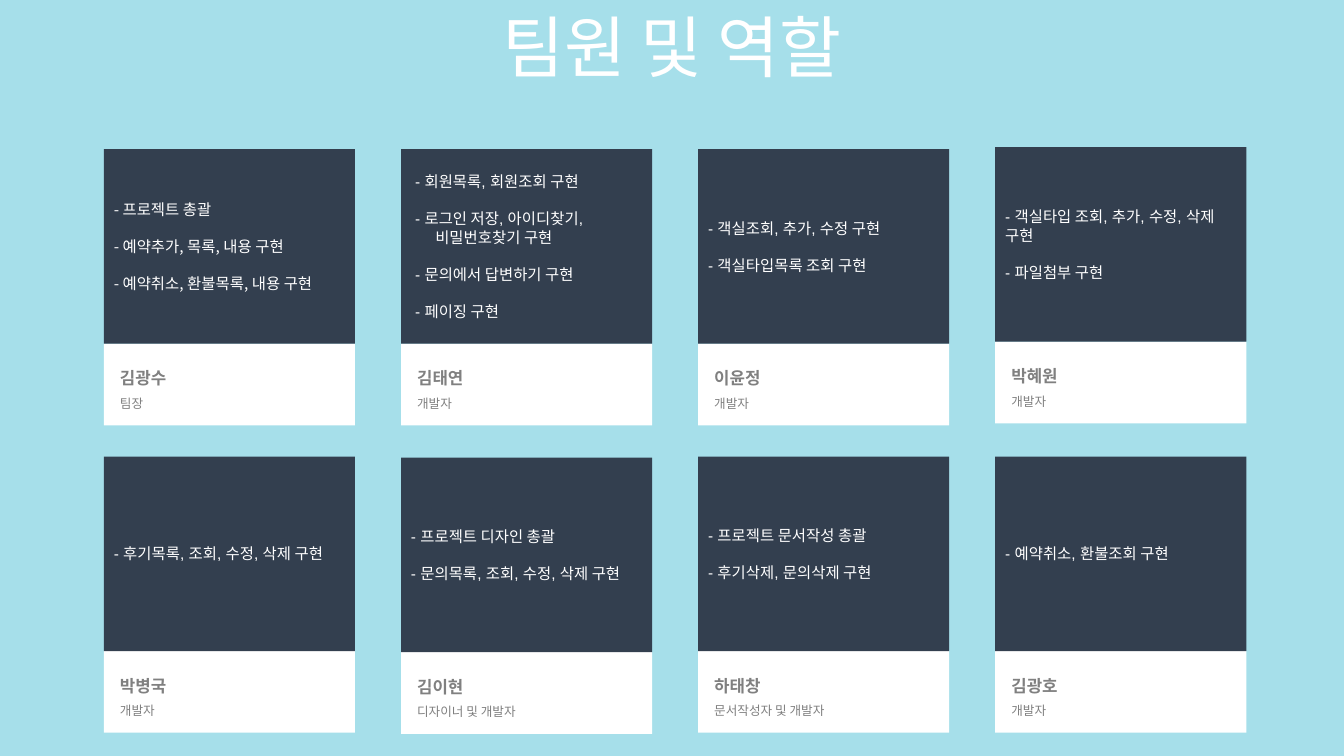
import pptx
import pptx.dml.color
import pptx.enum.shapes
import pptx.enum.text
import pptx.oxml
import pptx.oxml.ns
import pptx.util

Inches = pptx.util.Inches
Pt = pptx.util.Pt
RGBColor = pptx.dml.color.RGBColor
ANCHOR = pptx.enum.text.MSO_ANCHOR
ALIGN = pptx.enum.text.PP_ALIGN

SKY = RGBColor(0xA6, 0xDF, 0xEA)
NAVY = RGBColor(0x33, 0x3F, 0x4F)
GRAY = RGBColor(0x80, 0x80, 0x80)
WHITE = RGBColor(0xFF, 0xFF, 0xFF)
SANS = "Noto Sans CJK KR"

CARD_LEFT, COLUMN_STEP, CARD_WIDTH = 1.03, 2.947, 2.49
TASKS_HEIGHT, NAME_HEIGHT = 1.93, 0.81
HANGING, TAB_STOP = 0.2, 0.49

# Each member: top of the card, name, role, task font, left inset, tasks
ROWS = [
    [
        (1.48, "김광수", "팀장", SANS, 0.1,
         ["프로젝트 총괄", "예약추가, 목록, 내용 구현", "예약취소, 환불목록, 내용 구현"]),
        (1.48, "김태연", "개발자", "Arial", 0.14,
         ["회원목록, 회원조회 구현", "로그인 저장, 아이디찾기,\v비밀번호찾기 구현",
          "문의에서 답변하기 구현", "페이징 구현"]),
        (1.48, "이윤정", "개발자", "Arial", 0.1,
         ["객실조회, 추가, 수정 구현", "객실타입목록 조회 구현"]),
        (1.46, "박혜원", "개발자", "Arial", 0.1,
         ["객실타입 조회, 추가, 수정, 삭제\t구현", "파일첨부 구현"]),
    ],
    [
        (4.53, "박병국", "개발자", "Arial", 0.1, ["후기목록, 조회, 수정, 삭제 구현"]),
        (4.54, "김이현", "디자이너 및 개발자", "Arial", 0.1,
         ["프로젝트 디자인 총괄", "문의목록, 조회, 수정, 삭제 구현"]),
        (4.53, "하태창", "문서작성자 및 개발자", "Arial", 0.1,
         ["프로젝트 문서작성 총괄", "후기삭제, 문의삭제 구현"]),
        (4.53, "김광호", "개발자", "Arial", 0.1, ["예약취소, 환불조회 구현"]),
    ],
]


def format_font(font, color, **values):
    for name, value in values.items():
        setattr(font, name, value)
    font.color.rgb = color


def add_title(s, text):
    title = s.shapes.title
    title.left, title.top = Inches(0), Inches(0)
    title.width, title.height = Inches(13.33), Inches(0.9)
    tf = title.text_frame
    tf.text = text
    tf.vertical_anchor = ANCHOR.MIDDLE
    p = tf.paragraphs[0]
    p.alignment = ALIGN.CENTER
    format_font(p.runs[0].font, WHITE, name="Arial", size=Pt(48))


def add_panel(s, left, top, height, fill, inset):
    """Add a plain rectangle and return its text frame."""
    sp = s.shapes.add_shape(
        pptx.enum.shapes.MSO_SHAPE.RECTANGLE,
        Inches(left), Inches(top), Inches(CARD_WIDTH), Inches(height))
    sp.shadow.inherit = False
    sp.fill.solid()
    sp.fill.fore_color.rgb = fill
    sp.line.fill.background()
    tf = sp.text_frame
    tf.word_wrap = True
    tf.vertical_anchor = ANCHOR.MIDDLE
    tf.margin_left = Inches(inset)
    return tf


def add_line(tf, index, text):
    p = tf.paragraphs[0] if index == 0 else tf.add_paragraph()
    p.text = text
    p.alignment = ALIGN.LEFT
    return p


def indent_task(p, text):
    """Hang the lines after a break, and set the stop that a tab needs."""
    pPr = p._p.get_or_add_pPr()
    if "\v" in text:
        pPr.set("marL", str(Inches(HANGING)))
        pPr.set("indent", str(-Inches(HANGING)))
    if "\t" in text:
        pPr.append(pptx.oxml.parse_xml(
            f'<a:tabLst {pptx.oxml.ns.nsdecls("a")}>'
            f'<a:tab pos="{Inches(TAB_STOP)}" algn="l"/></a:tabLst>'))


def add_tasks(s, left, top, font_name, inset, tasks):
    tf = add_panel(s, left, top, TASKS_HEIGHT, NAVY, inset)
    for i, task in enumerate(tasks):
        p = add_line(tf, i, f"- {task}")
        if i:
            p.space_before = Pt(13.2)
        indent_task(p, task)
        for r in p.runs:
            format_font(r.font, WHITE, name=font_name, size=Pt(11))


def add_name(s, left, top, name, role):
    tf = add_panel(s, left, top, NAME_HEIGHT, WHITE, 0.16)
    for i, (text, size, bold) in enumerate([(name, 12, True), (role, 9, False)]):
        p = add_line(tf, i, text)
        p.line_spacing = 1.5
        format_font(p.runs[0].font, GRAY, name=SANS, size=Pt(size), bold=bold)


def main():
    prs = pptx.Presentation()
    prs.slide_width, prs.slide_height = Inches(13.33), Inches(7.5)
    s = prs.slides.add_slide(prs.slide_layouts[5])
    s.background.fill.solid()
    s.background.fill.fore_color.rgb = SKY
    add_title(s, "팀원 및 역할")
    for row in ROWS:
        for column, (top, name, role, font_name, inset, tasks) in enumerate(row):
            left = CARD_LEFT + column * COLUMN_STEP
            add_name(s, left, top + TASKS_HEIGHT, name, role)
            add_tasks(s, left, top, font_name, inset, tasks)
    prs.save("out.pptx")


if __name__ == "__main__":
    main()
